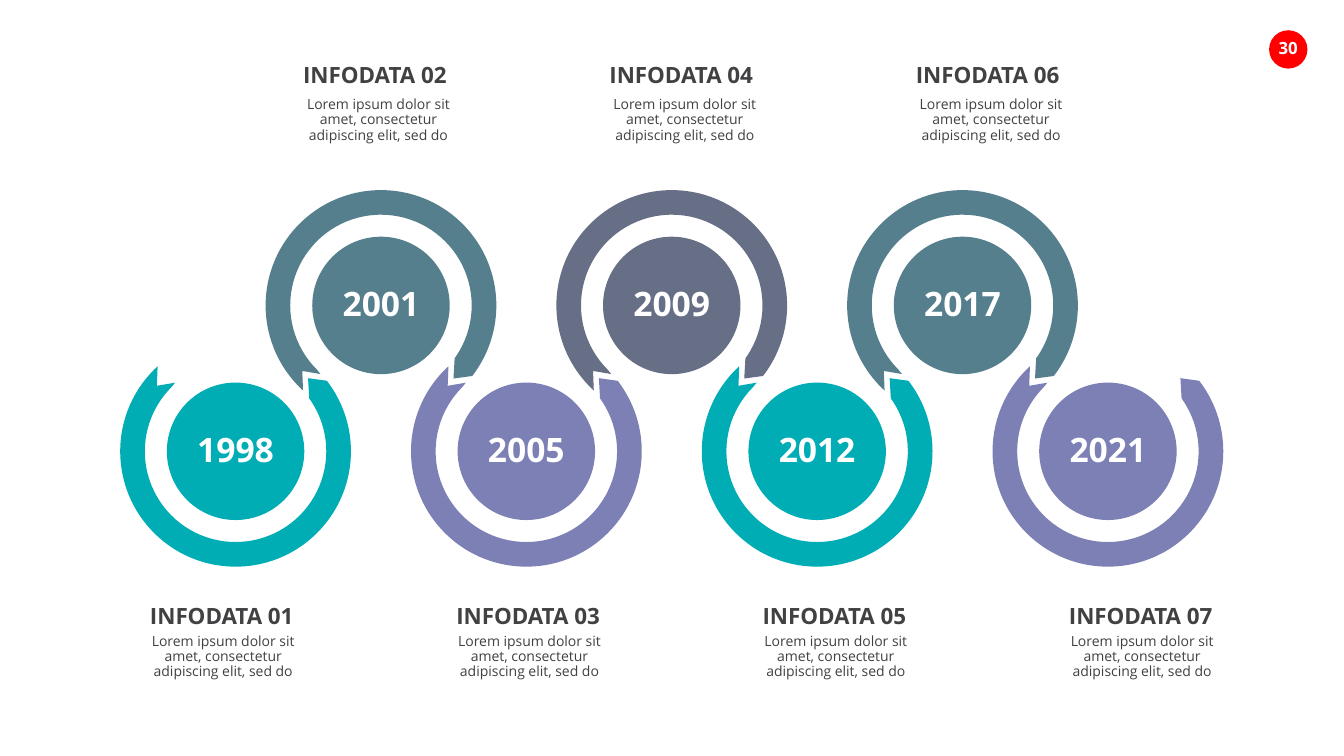
from math import cos, radians, sin

from lxml import etree
from pptx import Presentation
from pptx.dml.color import RGBColor
from pptx.enum import shapes, text
from pptx.oxml import ns
from pptx.util import Pt

HUES = {"teal": "00ADB5", "steel": "557F8C", "violet": "7D80B5",
        "slate": "666F85", "ink": "414042", "white": "FFFFFF", "red": "FF0000"}
FONT = "Open Sans"
BODY = "Lorem ipsum dolor sit amet, consectetur adipiscing elit, sed do"
STEPS = [("1998", "teal"), ("2001", "steel"), ("2005", "violet"),
         ("2009", "slate"), ("2012", "teal"), ("2017", "steel"),
         ("2021", "violet")]

# Year rings: the gap faces the other row; angles run clockwise in degrees
RING_X, RING_DX = 168.3, 103.85
HIGH_Y, LOW_Y = 218.2, 322.4
DISC_R = 49.1
OUTER = (82.4, [132.5, 180, 270, 360, 397.7])
INNER = (64.8, [395.7, 360, 270, 180, 135])
TIP = [(51.8, 52.2)]
TAIL = [(-43.2, 49), (-56.2, 46.8)]

# Captions
NOTE_X, NOTE_DX = 158.4, 109.4
HEAD_W, HEAD_H = 104, 19.6
BODY_W, BODY_H = 121.7, 44


def color(hue):
    return RGBColor.from_string(HUES[hue])


def paint(shape, hue):
    shape.shadow.inherit = False
    shape.fill.solid()
    shape.fill.fore_color.rgb = color(hue)
    shape.line.fill.background()


def write(shape, words, size, hue, bold=True, wrap=False, inset=(0, 0),
          anchor=text.MSO_ANCHOR.TOP):
    frame = shape.text_frame
    side, edge = map(Pt, inset)
    look = {"word_wrap": wrap, "vertical_anchor": anchor,
            "margin_left": side, "margin_right": side,
            "margin_top": edge, "margin_bottom": edge}
    for name, value in look.items():
        setattr(frame, name, value)
    para = frame.paragraphs[0]
    para.alignment = text.PP_ALIGN.CENTER
    para.line_spacing = 0.9
    run = para.add_run()
    run.text = words
    for name, value in {"name": FONT, "size": Pt(size), "bold": bold}.items():
        setattr(run.font, name, value)
    run.font.color.rgb = color(hue)


def add_disc(slide, x, y, r, hue, words, size):
    disc = slide.shapes.add_shape(shapes.MSO_SHAPE.OVAL, Pt(x - r), Pt(y - r),
                                  Pt(2 * r), Pt(2 * r))
    paint(disc, hue)
    write(disc, words, size, "white", anchor=text.MSO_ANCHOR.MIDDLE)


def arc(r, turns):
    """Nodes on a circle, each with the arc that leads to it."""
    bends = [None] + [(r, a, b - a) for a, b in zip(turns, turns[1:])]
    return [(r * cos(radians(a)), r * sin(radians(a)), bend)
            for a, bend in zip(turns, bends)]


def add_ring(slide, x, y, hue, flip):
    nodes = arc(*OUTER) + [(*p, None) for p in TIP]
    nodes += arc(*INNER) + [(*p, None) for p in TAIL]
    points = [(Pt(x + dx), Pt(y + flip * dy)) for dx, dy, _ in nodes]
    pen = slide.shapes.build_freeform(*points[0])
    pen.add_line_segments(points[1:], close=True)
    ring = pen.convert_to_shape()
    # Bend the straight segments that belong to a circle
    lines = list(ring.element.iter(ns.qn("a:lnTo")))
    for line, (_, _, bend) in zip(lines, nodes[1:]):
        if bend:
            r, start, sweep = bend
            curve = etree.Element(ns.qn("a:arcTo"))
            size = str(int(Pt(r)))
            curve.set("wR", size)
            curve.set("hR", size)
            curve.set("stAng", str(round(flip * start % 360 * 60000)))
            curve.set("swAng", str(round(flip * sweep * 60000)))
            line.getparent().replace(line, curve)
    paint(ring, hue)


def add_note(slide, x, top, gap, shift, number):
    head = slide.shapes.add_textbox(Pt(x - HEAD_W / 2), Pt(top),
                                    Pt(HEAD_W), Pt(HEAD_H))
    write(head, f"INFODATA {number:02}", 16, "ink")
    body = slide.shapes.add_textbox(Pt(x + shift - BODY_W / 2), Pt(top + gap),
                                    Pt(BODY_W), Pt(BODY_H))
    write(body, BODY, 10, "ink", bold=False, wrap=True, inset=(7.2, 3.6))


def add_step(slide, i, year, hue):
    high = i % 2 == 1
    x, y = RING_X + i * RING_DX, HIGH_Y if high else LOW_Y
    add_ring(slide, x, y, hue, 1 if high else -1)
    add_disc(slide, x, y, DISC_R, hue, year, 24)
    top, gap, shift = (46, 20.2, 2.5) if high else (432, 17.3, 1)
    add_note(slide, NOTE_X + i * NOTE_DX, top, gap, shift, i + 1)


def main():
    deck = Presentation()
    deck.slide_width, deck.slide_height = Pt(960), Pt(540)
    slide = deck.slides.add_slide(deck.slide_layouts[6])
    # Page badge
    add_disc(slide, 920.2, 35.3, 13.7, "red", "30", 12)
    # Timeline
    for i, (year, hue) in enumerate(STEPS):
        add_step(slide, i, year, hue)
    deck.save("out.pptx")


if __name__ == "__main__":
    main()
